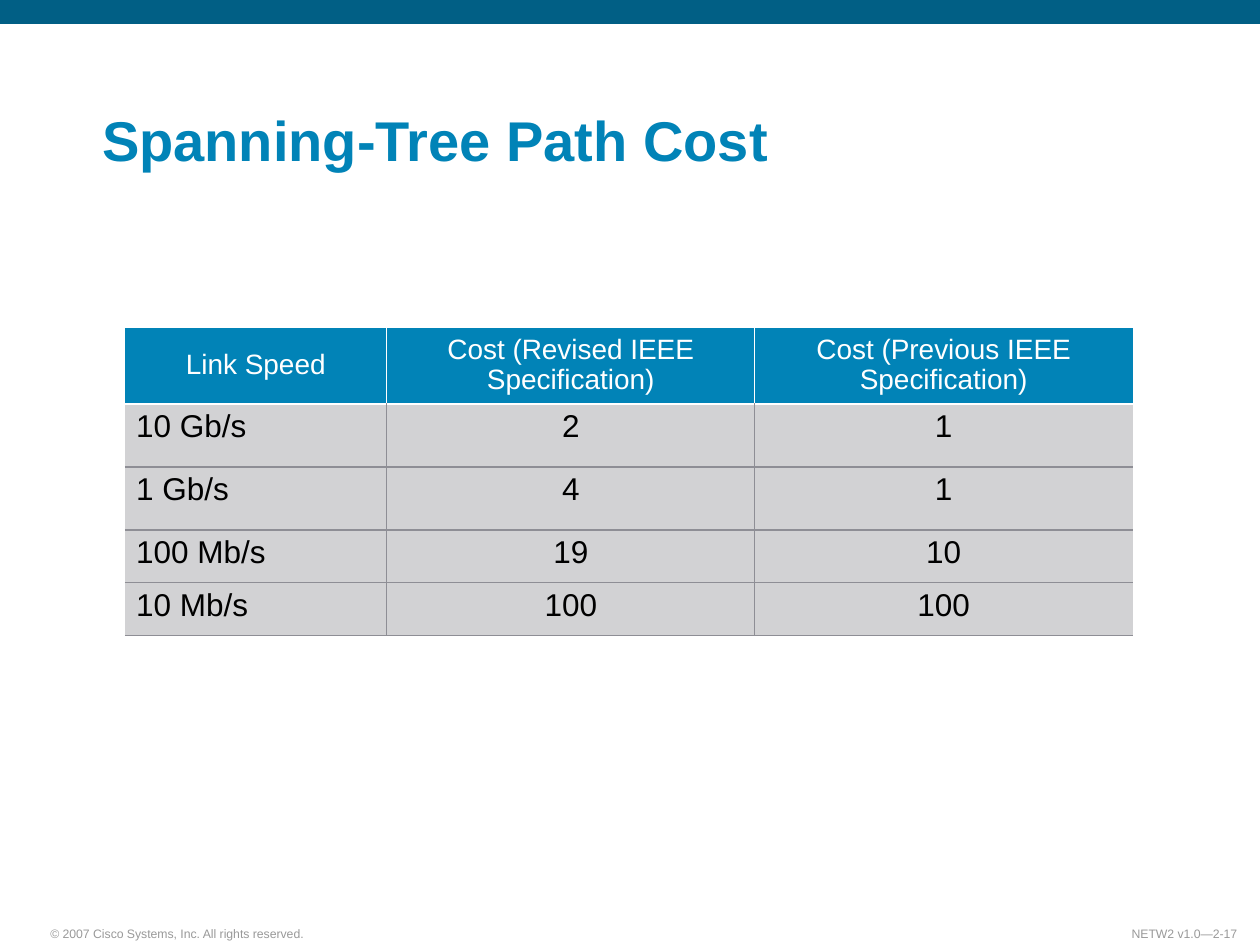
from lxml import etree
from pptx import Presentation
from pptx.dml.color import RGBColor
from pptx.enum.shapes import MSO_SHAPE
from pptx.enum.text import MSO_ANCHOR, PP_ALIGN
from pptx.oxml.ns import qn
from pptx.util import Inches, Pt

LEFT, CENTER, RIGHT = PP_ALIGN.LEFT, PP_ALIGN.CENTER, PP_ALIGN.RIGHT
TOP, MIDDLE, BOTTOM = MSO_ANCHOR.TOP, MSO_ANCHOR.MIDDLE, MSO_ANCHOR.BOTTOM
BLUE, DARK_BLUE, WHITE, BLACK = "0183B7", "015F85", "FFFFFF", "000000"
CELL_GRAY, RULE_GRAY, FOOTER_GRAY = "D2D2D4", "8E8E95", "999999"


def write_text(frame, text, size, color, bold=False, align=LEFT, spacing=1.0):
    paragraph = frame.paragraphs[0]
    paragraph.text = text
    paragraph.alignment = align
    paragraph.line_spacing = spacing
    font = paragraph.runs[0].font
    font.name, font.size, font.bold = "Arial", Pt(size), bold
    font.color.rgb = RGBColor.from_string(color)


def add_border(cell, side, color):
    """Draw one cell edge (L, R, T or B), or hide it when color is None."""
    line = etree.SubElement(cell._tc.get_or_add_tcPr(), qn(f"a:ln{side}"), w=str(Pt(0.75)))
    if color is None:
        etree.SubElement(line, qn("a:noFill"))
    else:
        fill = etree.SubElement(line, qn("a:solidFill"))
        etree.SubElement(fill, qn("a:srgbClr"), val=color)


presentation = Presentation()
presentation.slide_width, presentation.slide_height = Inches(10), Inches(7.5)
slide = presentation.slides.add_slide(presentation.slide_layouts[6])

top_band = slide.shapes.add_shape(
    MSO_SHAPE.RECTANGLE, 0, 0, presentation.slide_width, Inches(0.19))
top_band.shadow.inherit = False
top_band.fill.solid()
top_band.fill.fore_color.rgb = RGBColor.from_string(DARK_BLUE)
top_band.line.fill.background()

# Title and footers: text, position and size, wrapping, format
text_boxes = [
    ("© 2007 Cisco Systems, Inc. All rights reserved.", (0.31, 7.3, 2.2, 0.21), False,
     dict(size=7, color=FOOTER_GRAY)),
    ("NETW2 v1.0—2-17", (8.61, 7.3, 1.3, 0.21), False,
     dict(size=7, color=FOOTER_GRAY, align=RIGHT)),
    ("Spanning-Tree Path Cost", (0.72, 0.5, 8.91, 0.92), True,
     dict(size=32, color=BLUE, bold=True, spacing=0.9)),
]
for text, box, wrap, text_format in text_boxes:
    frame = slide.shapes.add_textbox(*map(Inches, box)).text_frame
    frame.word_wrap = wrap
    frame.vertical_anchor = BOTTOM
    frame.margin_left = frame.margin_right = Inches(0.09)
    frame.margin_top = frame.margin_bottom = Inches(0.04)
    write_text(frame, text, **text_format)

path_costs = [
    ("Link Speed", "Cost (Revised IEEE Specification)", "Cost (Previous IEEE Specification)"),
    ("10 Gb/s", "2", "1"),
    ("1 Gb/s", "4", "1"),
    ("100 Mb/s", "19", "10"),
    ("10 Mb/s", "100", "100"),
]
column_widths = [2.08, 2.92, 3]
row_heights = [0.58, 0.5, 0.5, 0.42, 0.42]
table = slide.shapes.add_table(
    len(row_heights), len(column_widths), Inches(0.99), Inches(2.6),
    Inches(sum(column_widths)), Inches(sum(row_heights))).table
table.horz_banding = False
for column, width in zip(table.columns, column_widths):
    column.width = Inches(width)
for row, height in zip(table.rows, row_heights):
    row.height = Inches(height)

last_column = len(column_widths) - 1
for row_index, row_texts in enumerate(path_costs):
    header = row_index == 0
    rule = WHITE if header else RULE_GRAY
    for column_index, text in enumerate(row_texts):
        cell = table.cell(row_index, column_index)
        cell.margin_left = cell.margin_right = Inches(0.09)
        cell.margin_top = cell.margin_bottom = Inches(0.05)
        cell.vertical_anchor = MIDDLE if header else TOP
        add_border(cell, "L", rule if column_index > 0 else None)
        add_border(cell, "R", rule if column_index < last_column else None)
        add_border(cell, "T", None if header else WHITE if row_index == 1 else RULE_GRAY)
        add_border(cell, "B", rule)
        cell.fill.solid()
        cell.fill.fore_color.rgb = RGBColor.from_string(BLUE if header else CELL_GRAY)
        write_text(cell.text_frame, text, size=16 if header else 18,
                   color=WHITE if header else BLACK, spacing=0.95,
                   align=CENTER if header or column_index > 0 else LEFT)

presentation.save("out.pptx")
